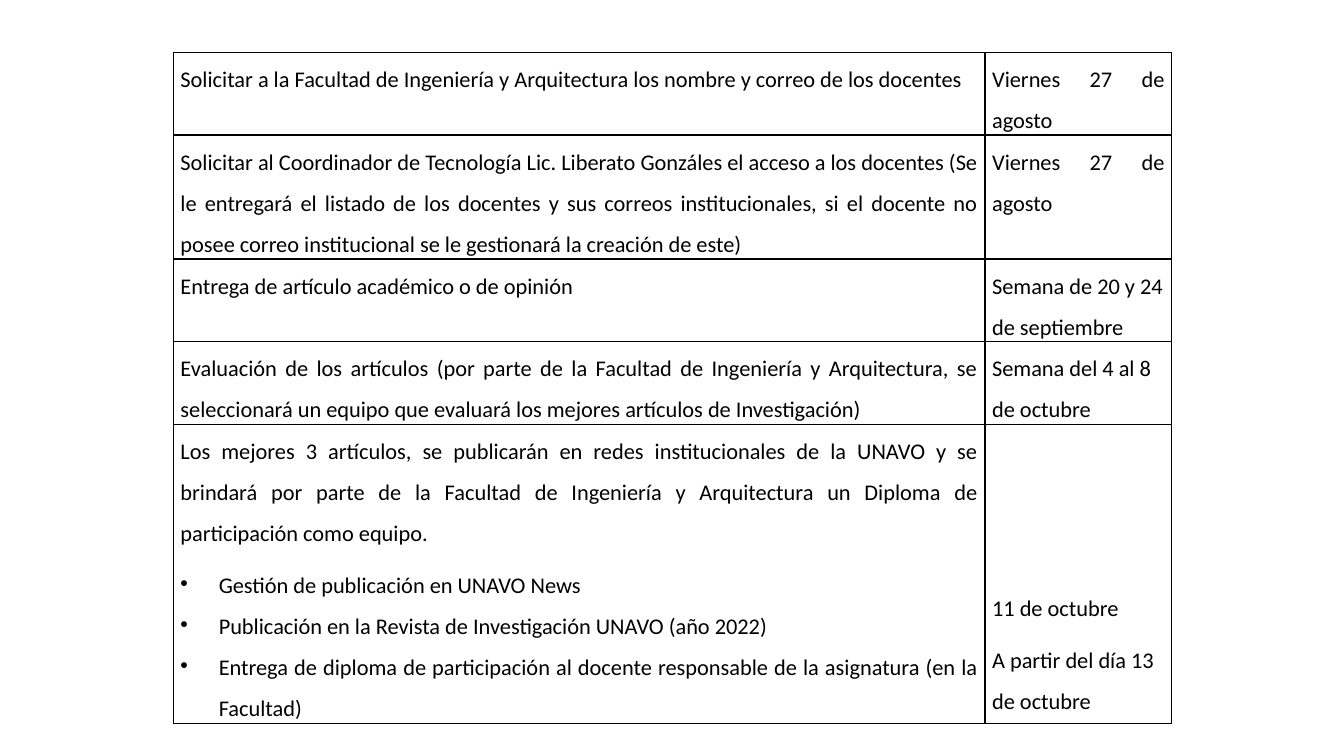
from lxml import etree
from pptx import Presentation
from pptx.dml.color import RGBColor
from pptx.enum.text import MSO_ANCHOR, PP_ALIGN
from pptx.oxml.ns import qn
from pptx.util import Inches, Pt

BLACK = RGBColor(0, 0, 0)
LEFT, JUST = PP_ALIGN.LEFT, PP_ALIGN.JUSTIFY
BOTTOM = MSO_ANCHOR.BOTTOM
FONT = "Calibri"
LINE = 0.41
COLS = (8.05, 1.85)
LINES = (2, 3, 2, 2, 7.25)

TASKS = (
    ["Solicitar a la Facultad de Ingeniería y Arquitectura los nombre y correo de los docentes"],
    ["Solicitar al Coordinador de Tecnología Lic. Liberato Gonzáles el acceso a los docentes "
     "(Se le entregará el listado de los docentes y sus correos institucionales, si el docente "
     "no posee correo institucional se le gestionará la creación de este)"],
    ["Entrega de artículo académico o de opinión"],
    ["Evaluación de los artículos (por parte de la Facultad de Ingeniería y Arquitectura, se "
     "seleccionará un equipo que evaluará los mejores artículos de Investigación)"],
    ["Los mejores 3 artículos, se publicarán en redes institucionales de la UNAVO y se "
     "brindará por parte de la Facultad de Ingeniería y Arquitectura un Diploma de "
     "participación como equipo.",
     "Gestión de publicación en UNAVO News",
     "Publicación en la Revista de Investigación UNAVO (año 2022)",
     "Entrega de diploma de participación al docente responsable de la asignatura "
     "(en la Facultad)"],
)
DATES = (
    (["Viernes 27 de agosto"], JUST),
    (["Viernes 27 de agosto"], JUST),
    (["Semana de 20 y 24 de septiembre"], LEFT),
    (["Semana del 4 al 8 de octubre"], LEFT),
    (["11 de octubre", "A partir del día 13 de octubre"], LEFT),
)


def add_bullet(para):
    """Give a paragraph a hanging round bullet."""
    props = para._p.get_or_add_pPr()
    props.set("marL", str(Inches(0.38)))
    props.set("indent", str(-Inches(0.38)))
    etree.SubElement(props, qn("a:buChar")).set("char", "•")


def add_border(cell):
    """Draw a thin black line on all four sides of a cell."""
    props = cell._tc.get_or_add_tcPr()
    for spot, side in enumerate(("lnL", "lnR", "lnT", "lnB")):
        line = etree.Element(qn("a:" + side), w=str(Pt(1)))
        fill = etree.SubElement(line, qn("a:solidFill"))
        etree.SubElement(fill, qn("a:srgbClr")).set("val", str(BLACK))
        props.insert(spot, line)


def fill_cell(cell, texts, align, bullets=False):
    """Write the paragraphs of one cell and style it."""
    cell.margin_left = cell.margin_right = Inches(0.07)
    cell.margin_top = cell.margin_bottom = 0
    cell.fill.background()
    add_border(cell)
    frame = cell.text_frame
    for i, text in enumerate(texts):
        para = frame.add_paragraph() if i else frame.paragraphs[0]
        para.text = text
        para.alignment = align
        para.line_spacing = 1.5
        inner = bullets and 0 < i < len(texts) - 1
        para.space_after = Pt(0 if inner else 8)
        para.font.name, para.font.size = FONT, Pt(16)
        para.font.color.rgb = BLACK
        if bullets and i:
            add_bullet(para)


def add_plan(slide, left, top):
    """Place the table of tasks and dates at the given corner."""
    width, height = sum(COLS), sum(LINES) * LINE
    table = slide.shapes.add_table(
        len(TASKS), len(COLS), Inches(left), Inches(top), Inches(width), Inches(height)).table
    table.first_row = table.horz_banding = False
    for col, size in zip(table.columns, COLS):
        col.width = Inches(size)
    for row, count, task, (dates, align) in zip(table.rows, LINES, TASKS, DATES):
        row.height = Inches(count * LINE)
        fill_cell(row.cells[0], task, JUST, bullets=True)
        fill_cell(row.cells[1], dates, align)
    last = table.cell(len(TASKS) - 1, 1)
    last.vertical_anchor = BOTTOM
    last.margin_bottom = Inches(0.08)


def main():
    """Build and save the slide."""
    deck = Presentation()
    deck.slide_width, deck.slide_height = Inches(13.33), Inches(7.5)
    slide = deck.slides.add_slide(deck.slide_layouts[6])
    add_plan(slide, 1.72, 0.52)
    deck.save("out.pptx")


if __name__ == "__main__":
    main()
